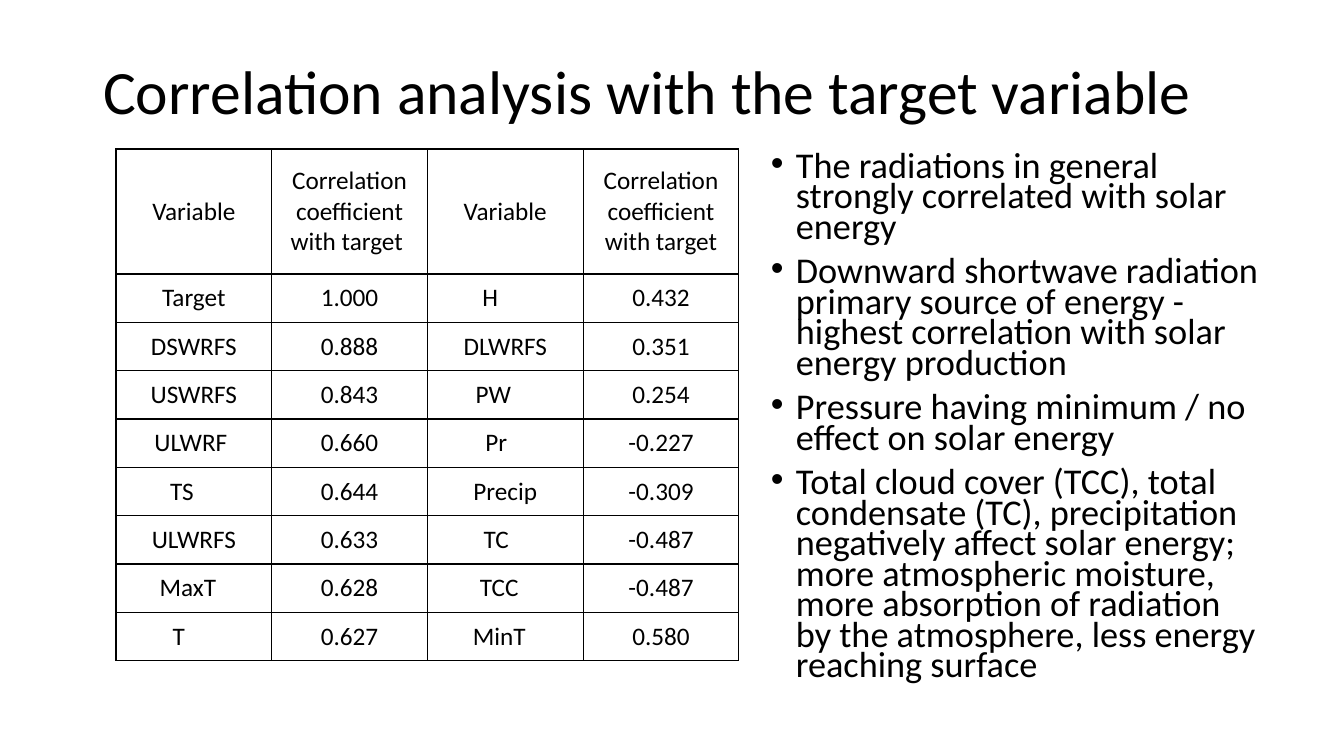
from lxml import etree
from pptx import Presentation, util as u
from pptx.dml.color import RGBColor
from pptx.enum import text
from pptx.oxml.ns import qn

SCALE = 12192000 / 1344  # EMU per pixel
COLORS = {"ink": "000000", "paper": "FFFFFF"}
HEADERS = ["Variable", "Correlation coefficient with target ",
           "Variable", "Correlation coefficient\nwith target"]
# Names with the number of space widths they are shifted by, then coefficients
ROWS = [
    ("Target", 0, "1.000", "H", 5, "0.432"),
    ("DSWRFS", 0, "0.888", "DLWRFS", 0, "0.351"),
    ("USWRFS", 0, "0.843", "PW", 4, "0.254"),
    ("ULWRF", 1, "0.660", "Pr", 3, "-0.227"),
    ("TS", 4, "0.644", "Precip", 0, "-0.309"),
    ("ULWRFS", 0, "0.633", "TC", 3, "-0.487"),
    ("MaxT", 2, "0.628", "TCC", 2, "-0.487"),
    ("T", 5, "0.627", "MinT", 2, "0.580"),
]
FINDINGS = [
    "The radiations in general strongly correlated with solar energy",
    "Downward shortwave radiation primary source of energy - highest "
    "correlation with solar energy production",
    "Pressure having minimum / no effect on solar energy",
    "Total cloud cover (TCC), total condensate (TC), precipitation negatively "
    "affect solar energy; more atmospheric moisture, more absorption of "
    "radiation by the atmosphere, less energy reaching surface",
]


def px(n):
    return u.Emu(round(n * SCALE))


def color(name):
    return RGBColor.from_string(COLORS[name])


def write(tf, lines, size, align="LEFT", spacing=1.0, before=0, bullet=None):
    for i, line in enumerate(lines):
        p = tf.paragraphs[0] if i == 0 else tf.add_paragraph()
        p.alignment = getattr(text.PP_ALIGN, align)
        p.line_spacing = spacing
        p.space_before = u.Pt(before)
        r = p.add_run()
        r.text = line
        r.font.size, r.font.name = u.Pt(size), "Calibri"
        r.font.color.rgb = color("ink")
        if bullet:
            pPr = p._p.get_or_add_pPr()
            pPr.set("marL", str(px(25)))
            pPr.set("indent", str(-px(25)))
            etree.SubElement(pPr, qn("a:buFont"), typeface="Arial")
            etree.SubElement(pPr, qn("a:buChar"), char=bullet)


class Deck:
    def __init__(self, prs):
        self.s = prs.slides.add_slide(prs.slide_layouts[5])

    def title(self, line, x, y, w, h):
        sp = self.s.shapes.title
        sp.left, sp.top, sp.width, sp.height = map(px, (x, y, w, h))
        tf = sp.text_frame
        tf.auto_size = text.MSO_AUTO_SIZE.NONE
        tf.vertical_anchor = text.MSO_ANCHOR.MIDDLE
        write(tf, [line], 44, spacing=0.9)

    def bullets(self, lines, x, y, w, h):
        tf = self.s.shapes.add_textbox(*map(px, (x, y, w, h))).text_frame
        tf.word_wrap = True
        write(tf, lines, 25.9, spacing=0.7, before=10, bullet="•")

    def cell(self, cell, lines, shift=0):
        cell.margin_left = cell.margin_top = cell.margin_bottom = px(1)
        cell.margin_right = px(1 + 6 * shift)
        cell.vertical_anchor = text.MSO_ANCHOR.MIDDLE
        write(cell.text_frame, lines, 18, align="CENTER")
        tcPr = cell._tc.get_or_add_tcPr()
        for side in ("lnL", "lnR", "lnT", "lnB"):
            ln = etree.SubElement(tcPr, qn("a:" + side), w=str(u.Pt(1)))
            fill = etree.SubElement(ln, qn("a:solidFill"))
            etree.SubElement(fill, qn("a:srgbClr"), val=COLORS["ink"])
        cell.fill.solid()
        cell.fill.fore_color.rgb = color("paper")

    def table(self, headers, rows, x, y, w, h, head_h):
        frame = self.s.shapes.add_table(len(rows) + 1, len(headers),
                                        *map(px, (x, y, w, h)))
        tbl = frame.table
        for col in tbl.columns:
            col.width = px(w / len(headers))
        for i, row in enumerate(tbl.rows):
            row.height = px((h - head_h) / len(rows) if i else head_h)
        for j, header in enumerate(headers):
            self.cell(tbl.cell(0, j), header.split("\n"))
        for i, (name1, shift1, coef1, name2, shift2, coef2) in enumerate(rows, 1):
            entries = [(name1, shift1), (coef1, 0), (name2, shift2), (coef2, 0)]
            for j, (value, shift) in enumerate(entries):
                self.cell(tbl.cell(i, j), [value], shift)


prs = Presentation()
prs.slide_width, prs.slide_height = px(1344), px(756)
deck = Deck(prs)

# Title
deck.title("Correlation analysis with the target variable", 93, 22, 1159, 146)

# Findings
deck.bullets(FINDINGS, 761, 149, 513, 563)

# Correlation table
deck.table(HEADERS, ROWS, 116, 149, 623, 512, head_h=125)

prs.save("out.pptx")
